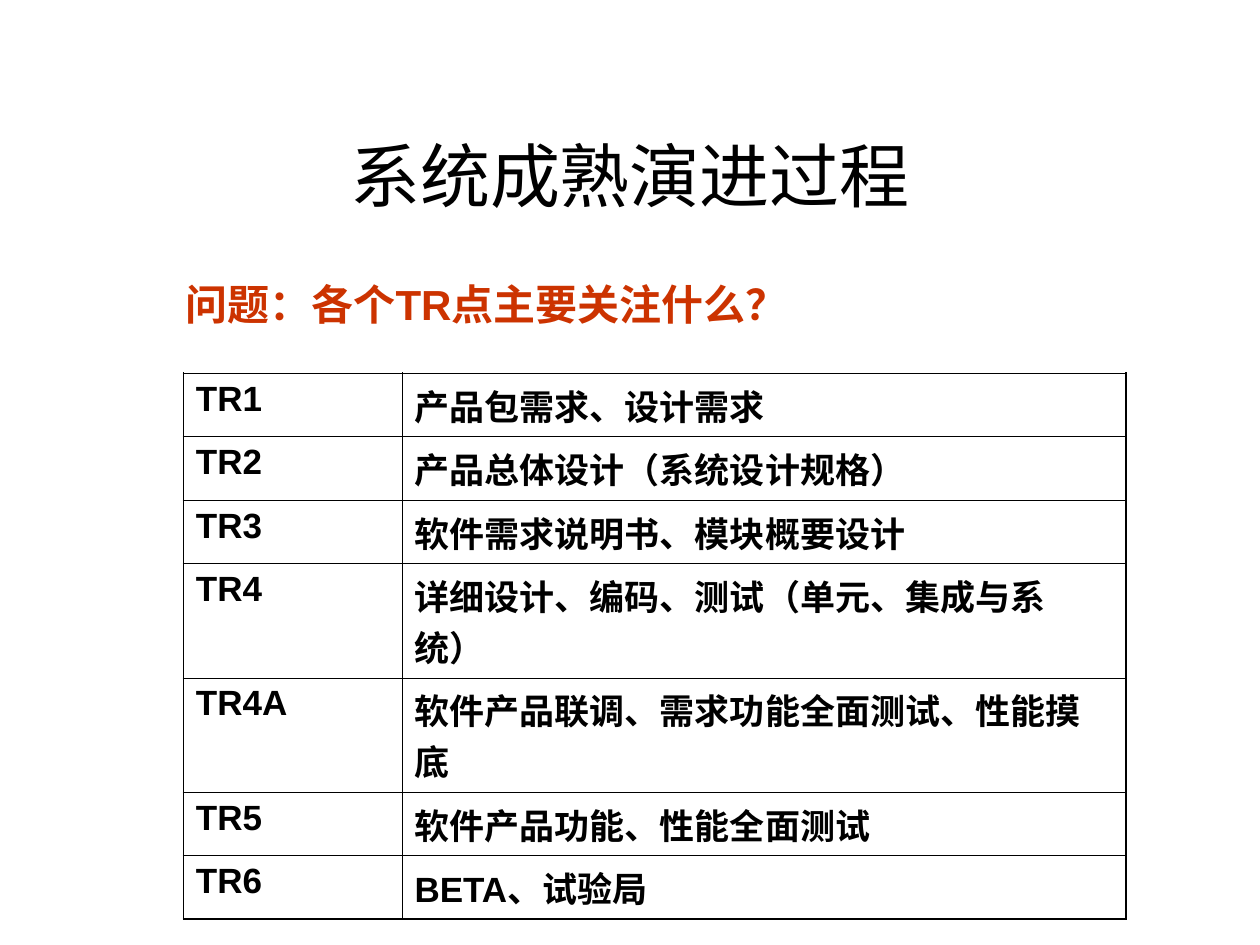
"""Build the slide on how a system matures through its technical reviews."""
from lxml import etree
from pptx import Presentation
from pptx.dml.color import RGBColor
from pptx.enum.text import MSO_ANCHOR, PP_ALIGN
from pptx.oxml.ns import qn
from pptx.util import Inches, Pt

MIDDLE, TOP = MSO_ANCHOR.MIDDLE, MSO_ANCHOR.TOP
LEFT, CENTER = PP_ALIGN.LEFT, PP_ALIGN.CENTER
COLORS = {"ink": "000000", "question": "CC3300"}
FONT = "Arial"
COLUMNS, ROWS = 100, 75
THICK, THIN = 1.08, 0.45
ONE_LINE, TWO_LINES = 5.03, 9.09

REVIEWS = [
    ("TR1", "产品包需求、设计需求"),
    ("TR2", "产品总体设计（系统设计规格）"),
    ("TR3", "软件需求说明书、模块概要设计"),
    ("TR4", "详细设计、编码、测试（单元、集成与系统）"),
    ("TR4A", "软件产品联调、需求功能全面测试、性能摸底"),
    ("TR5", "软件产品功能、性能全面测试"),
    ("TR6", "BETA、试验局"),
]
TWO_LINE_REVIEWS = {"TR4", "TR4A"}


def write(frame, text, *, size, color="ink", bold=False, align=LEFT, before=0):
    para = frame.paragraphs[0]
    para.alignment = align
    para.space_before = Pt(before)
    span = para.add_run()
    span.text = text
    span.font.name = FONT
    span.font.size = Pt(size)
    span.font.bold = bold
    span.font.color.rgb = RGBColor.from_string(COLORS[color])


def draw_border(cell, side, width):
    properties = cell._tc.get_or_add_tcPr()
    line = etree.SubElement(properties, qn(f"a:ln{side}"), w=str(Pt(width)))
    fill = etree.SubElement(line, qn("a:solidFill"))
    etree.SubElement(fill, qn("a:srgbClr"), val=COLORS["ink"])


class Page:
    def __init__(self, deck):
        self.slide = deck.slides.add_slide(deck.slide_layouts[6])
        self.column = deck.slide_width / COLUMNS
        self.row = deck.slide_height / ROWS

    def across(self, columns):
        return round(columns * self.column)

    def down(self, rows):
        return round(rows * self.row)

    def area(self, left, top, width, height):
        return self.across(left), self.down(top), self.across(width), self.down(height)

    def text(self, place, text, **style):
        frame = self.slide.shapes.add_textbox(*self.area(*place)).text_frame
        frame.word_wrap = True
        frame.vertical_anchor = MIDDLE
        write(frame, text, **style)

    def table(self, left, top, widths, heights, records, **style):
        place = self.area(left, top, sum(widths), sum(heights))
        table = self.slide.shapes.add_table(len(heights), len(widths), *place).table
        table.first_row = table.horz_banding = False
        for column, width in zip(table.columns, widths):
            column.width = self.across(width)
        for row, height in zip(table.rows, heights):
            row.height = self.down(height)
        last_row, last_column = len(heights) - 1, len(widths) - 1
        for i, record in enumerate(records):
            for j, text in enumerate(record):
                cell = table.cell(i, j)
                cell.vertical_anchor = TOP
                edges = {"L": j == 0, "R": j == last_column, "T": i == 0, "B": i == last_row}
                for side, outer in edges.items():
                    draw_border(cell, side, THICK if outer else THIN)
                cell.fill.background()
                write(cell.text_frame, text, **style)


def main():
    deck = Presentation()
    deck.slide_width, deck.slide_height = Inches(10), Inches(7.5)
    page = Page(deck)
    page.text((0, 9.9, COLUMNS, 7.9), "系统成熟演进过程", size=40, align=CENTER)
    heights = [TWO_LINES if name in TWO_LINE_REVIEWS else ONE_LINE for name, _ in REVIEWS]
    page.table(14.55, 29.63, (17.35, 57.45), heights, REVIEWS, size=20, bold=True, before=5)
    page.text((13.75, 18.6, 69.3, 11), "问题：各个TR点主要关注什么？",
              size=24, color="question", bold=True)
    deck.save("out.pptx")


if __name__ == "__main__":
    main()
